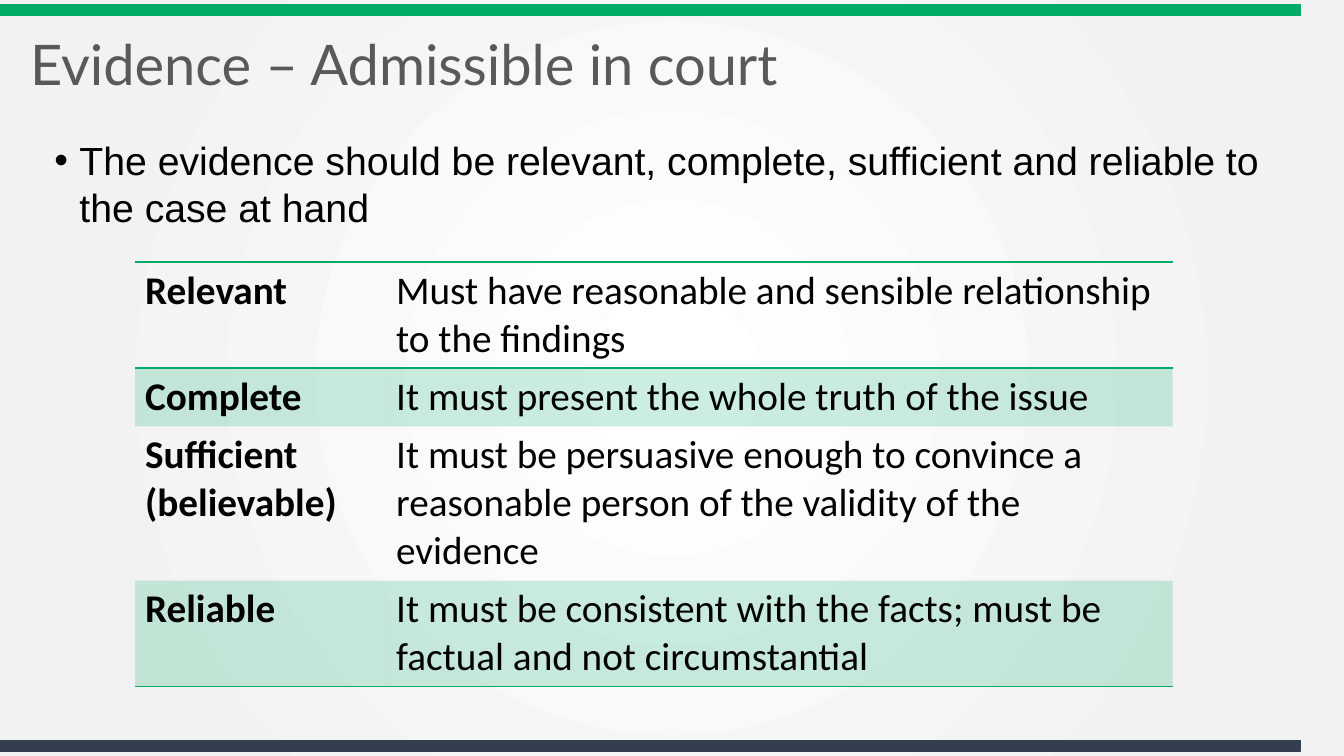
from lxml import etree
from pptx import Presentation
from pptx.dml.color import RGBColor
from pptx.enum.shapes import MSO_SHAPE
from pptx.enum.text import MSO_ANCHOR
from pptx.oxml import parse_xml
from pptx.oxml.ns import nsdecls, qn
from pptx.util import Emu, Pt

RECT = MSO_SHAPE.RECTANGLE
TOP, MIDDLE = MSO_ANCHOR.TOP, MSO_ANCHOR.MIDDLE

EMU_PER_PX = 9144  # 100 px to the inch
GREEN, NAVY, GREY, BLACK = "00AC65", "333F50", "595959", "000000"
PLAIN_TABLE = "{2D5ABB26-0587-4C30-8999-92F81FD0307C}"

TITLE = "Evidence – Admissible in court"
STATEMENT = ("The evidence should be relevant, complete, sufficient "
             "and reliable to the case at hand")
# Criterion, requirement, row height
CRITERIA = [
    ("Relevant", "Must have reasonable and sensible relationship to the findings", 105),
    ("Complete", "It must present the whole truth of the issue", 58),
    ("Sufficient (believable)", "It must be persuasive enough to convince a reasonable "
     "person of the validity of the evidence", 153),
    ("Reliable", "It must be consistent with the facts; must be factual "
     "and not circumstantial", 105),
]
COL_WIDTHS = (249, 780)


def px(n):
    return Emu(n * EMU_PER_PX)


def color(hex_code):
    return RGBColor.from_string(hex_code)


def set_background(s):
    s.background.fill.solid()
    bg = s.element.find(".//" + qn("p:bgPr"))
    stops = "".join(f'<a:gs pos="{pos}"><a:srgbClr val="{c}"/></a:gs>' for pos, c in
                    ((0, "FFFFFF"), (81000, "F2F2F2"), (100000, "F2F2F2")))
    bg.replace(bg[0], parse_xml(
        f'<a:gradFill {nsdecls("a")} rotWithShape="1"><a:gsLst>{stops}</a:gsLst>'
        '<a:path path="circle"><a:fillToRect l="50000" t="50000" r="50000" b="50000"/>'
        '</a:path></a:gradFill>'))


def add_bar(s, y, fill):
    sp = s.shapes.add_shape(RECT, 0, px(y), px(1290), px(10))
    sp.shadow.inherit = False
    sp.fill.solid()
    sp.fill.fore_color.rgb = color(fill)
    sp.line.color.rgb = color(fill)
    sp.line.width = Pt(1)


def write(tf, text, font, size, text_color=BLACK, bold=False):
    p = tf.paragraphs[0]
    r = p.add_run()
    r.text = text
    for name, value in {"name": font, "size": Pt(size), "bold": bold}.items():
        setattr(r.font, name, value)
    r.font.color.rgb = color(text_color)
    return p


def add_text(s, box, text, font, size, text_color=BLACK, anchor=TOP):
    tf = s.shapes.add_textbox(*map(px, box)).text_frame
    tf.word_wrap = True
    tf.vertical_anchor = anchor
    return write(tf, text, font, size, text_color)


def add_bullet(p):
    pPr = p._p.get_or_add_pPr()
    pPr.set("marL", str(px(25)))
    pPr.set("indent", str(px(-25)))
    etree.SubElement(pPr, qn("a:buFont"), typeface="Arial")
    etree.SubElement(pPr, qn("a:buChar"), char="•")


def format_cell(cell, shaded, borders):
    tcPr = cell._tc.get_or_add_tcPr()
    if shaded:
        cell.fill.solid()
        cell.fill.fore_color.rgb = color(GREEN)
        etree.SubElement(tcPr.find(".//" + qn("a:srgbClr")), qn("a:alpha"), val="20000")
    else:
        cell.fill.background()
    # Border lines come before the fill
    for i, side in enumerate(borders):
        tcPr.insert(i, parse_xml(
            f'<a:ln{side} {nsdecls("a")} w="{Pt(1)}"><a:solidFill>'
            f'<a:srgbClr val="{GREEN}"/></a:solidFill></a:ln{side}>'))


def add_criteria_table(s, x, y):
    heights = [row[2] for row in CRITERIA]
    frame = s.shapes.add_table(len(CRITERIA), len(COL_WIDTHS), px(x), px(y),
                               px(sum(COL_WIDTHS)), px(sum(heights)))
    table = frame.table
    table.first_row = table.horz_banding = False
    table._tbl.tblPr.find(qn("a:tableStyleId")).text = PLAIN_TABLE
    for col, width in zip(table.columns, COL_WIDTHS):
        col.width = px(width)
    borders = {0: "TB", len(CRITERIA) - 1: "B"}
    for i, (*texts, height) in enumerate(CRITERIA):
        table.rows[i].height = px(height)
        for j, text in enumerate(texts):
            cell = table.cell(i, j)
            write(cell.text_frame, text, "Calibri", 28, bold=j == 0)
            format_cell(cell, i % 2 == 1, borders.get(i, ""))


def main():
    prs = Presentation()
    prs.slide_width, prs.slide_height = px(1333), px(750)
    s = prs.slides.add_slide(prs.slide_layouts[6])

    # Background and edge bars
    set_background(s)
    add_bar(s, 5, GREEN)
    add_bar(s, 735, NAVY)

    # Title and statement
    p = add_text(s, (20, 27, 1170, 80), TITLE, "Lato", 40, GREY, MIDDLE)
    p.line_spacing = 0.9
    p = add_text(s, (44, 130, 1253, 595), STATEMENT, "Arial", 28)
    p.space_before = Pt(10)
    add_bullet(p)

    # Criteria
    add_criteria_table(s, 134, 260)

    prs.save("out.pptx")


if __name__ == "__main__":
    main()
